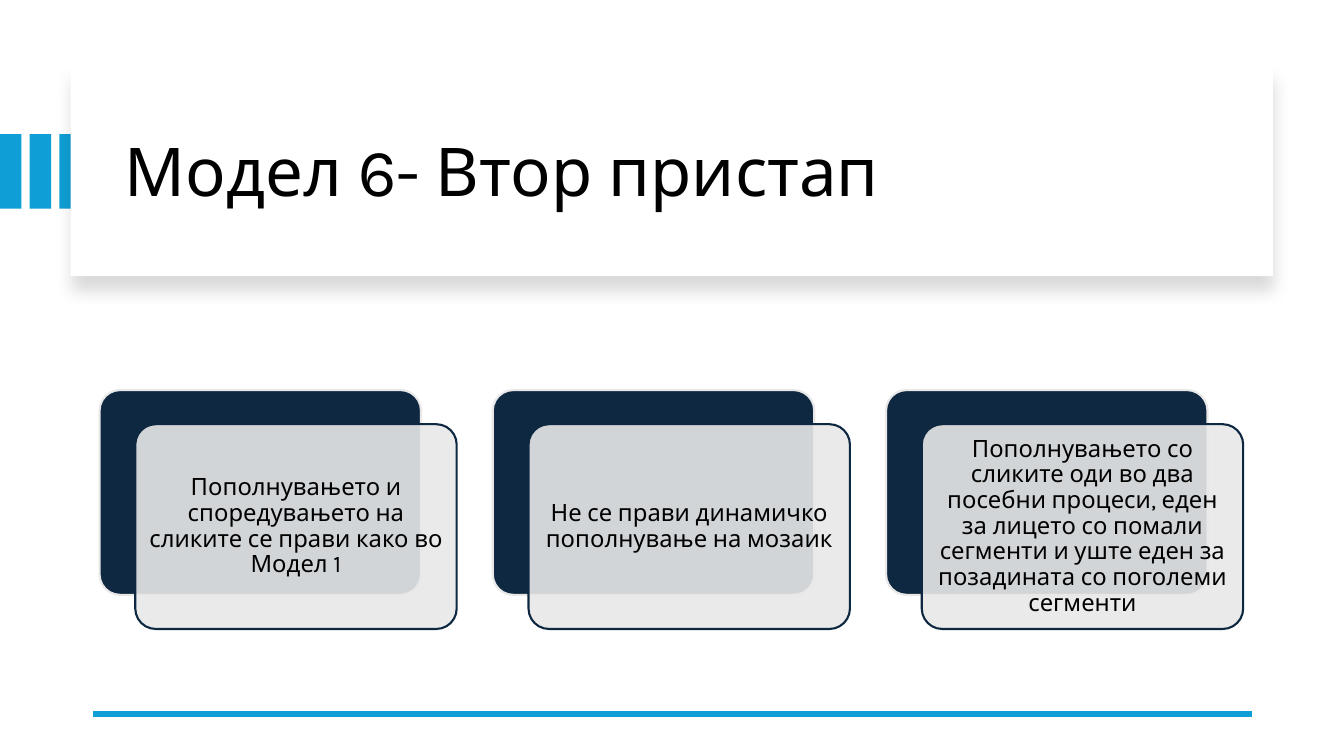
from lxml import etree
from pptx import Presentation
from pptx.dml.color import RGBColor
from pptx.enum.shapes import MSO_CONNECTOR, MSO_SHAPE
from pptx.enum.text import MSO_ANCHOR, PP_ALIGN
from pptx.oxml.ns import qn
from pptx.util import Cm, Pt

RECTANGLE = MSO_SHAPE.RECTANGLE
ROUNDED = MSO_SHAPE.ROUNDED_RECTANGLE
STRAIGHT = MSO_CONNECTOR.STRAIGHT
MIDDLE = MSO_ANCHOR.MIDDLE
LEFT, CENTER = PP_ALIGN.LEFT, PP_ALIGN.CENTER

FONT = "Karla"
BLACK, WHITE, BLUE, NAVY, GREY = "000000", "FFFFFF", "0F9ED5", "0E2841", "E8E8E8"

TITLE = "Модел 6- Втор пристап"
CARDS = [
    "Пополнувањето и споредувањето на сликите се прави како во Модел 1",
    "Не се прави динамичко пополнување на мозаик",
    "Пополнувањето со сликите оди во два посебни процеси, еден за лицето "
    "со помали сегменти и уште еден за позадината со поголеми сегменти",
]


def color(value):
    return RGBColor.from_string(value)


def add_block(page, preset, box, fill, line=None):
    """Add a filled shape; box is left, top, width and height in centimetres."""
    shape = page.shapes.add_shape(preset, *map(Cm, box))
    shape.shadow.inherit = False
    shape.fill.solid()
    shape.fill.fore_color.rgb = color(fill)
    if line:
        shape.line.color.rgb = color(line)
        shape.line.width = Pt(1.5)
    else:
        shape.line.fill.background()
    return shape


def write(shape, text, size, align):
    frame = shape.text_frame
    frame.word_wrap = True
    frame.vertical_anchor = MIDDLE
    paragraph = frame.paragraphs[0]
    paragraph.text = text
    paragraph.alignment = align
    paragraph.line_spacing = 0.9
    paragraph.font.name = FONT
    paragraph.font.size = Pt(size)
    paragraph.font.color.rgb = color(BLACK)
    return frame


def add_alpha(color_element, percent):
    etree.SubElement(color_element, qn("a:alpha"), val=str(percent * 1000))


def cast_shadow(shape):
    """Put a soft shadow straight below the shape."""
    effects = shape._element.spPr.find(qn("a:effectLst"))
    shadow = etree.SubElement(
        effects, qn("a:outerShdw"), blurRad=str(Pt(11)), dist=str(Pt(10)),
        dir="5400000", algn="t", rotWithShape="0")
    add_alpha(etree.SubElement(shadow, qn("a:srgbClr"), val=BLACK), 15)


def add_header(page, left, top, width, height):
    for index in range(3):
        add_block(page, RECTANGLE, (index * 0.75, top + 1.68, 0.54, 1.88), BLUE)
    panel = add_block(page, RECTANGLE, (left, top, width, height), WHITE)
    cast_shadow(panel)
    title = page.shapes.add_textbox(
        Cm(left + 1.12), Cm(top + 0.56), Cm(width - 2.03), Cm(height - 0.95))
    write(title, TITLE, 48, LEFT)


def add_card(page, text, left, top, width, height):
    """Add a dark card with a translucent text card shifted over it."""
    shift_x, shift_y = 0.9, 0.86
    back = add_block(page, ROUNDED, (left, top, width, height), NAVY, GREY)
    front = add_block(
        page, ROUNDED, (left + shift_x, top + shift_y, width, height), GREY, NAVY)
    for card in (back, front):
        card.adjustments[0] = 0.1
    add_alpha(front._element.spPr.find(qn("a:solidFill"))[0], 90)
    frame = write(front, text, 17, CENTER)
    frame.margin_left = frame.margin_right = Cm(0.18)
    frame.margin_top = frame.margin_bottom = Cm(0.18)


def add_cards(page, left, top, pitch):
    for index, text in enumerate(CARDS):
        add_card(page, text, left + index * pitch, top, 8.1, 5.16)


def add_footer_line(page, left, top, width):
    line = page.shapes.add_connector(
        STRAIGHT, Cm(left), Cm(top), Cm(left + width), Cm(top))
    line.line.color.rgb = color(BLUE)
    line.line.width = Pt(4.5)
    etree.SubElement(line._element.spPr, qn("a:effectLst"))


def main():
    deck = Presentation()
    deck.slide_width, deck.slide_height = Cm(33.87), Cm(19.05)
    page = deck.slides.add_slide(deck.slide_layouts[6])
    add_header(page, 1.78, 1.7, 30.3, 5.26)
    add_footer_line(page, 2.34, 18, 29.21)
    add_cards(page, 2.51, 9.83, 9.91)
    deck.save("out.pptx")


if __name__ == "__main__":
    main()
